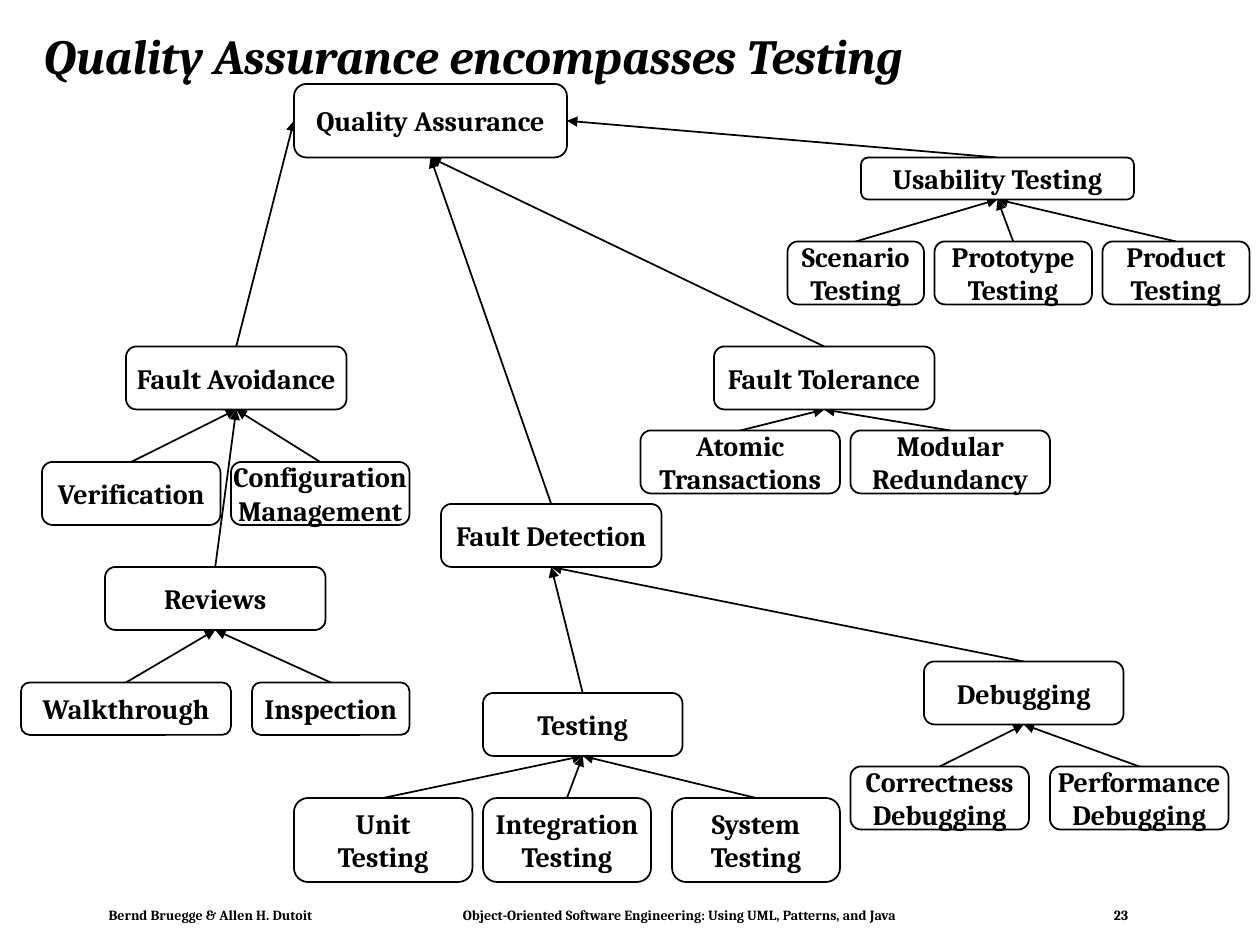
from dataclasses import dataclass

from lxml import etree
from pptx import Presentation
from pptx.dml.color import RGBColor
from pptx.enum.shapes import MSO_CONNECTOR, MSO_SHAPE
from pptx.enum.text import MSO_ANCHOR, PP_ALIGN
from pptx.oxml.ns import qn
from pptx.util import Pt

ROUNDED = MSO_SHAPE.ROUNDED_RECTANGLE
STRAIGHT = MSO_CONNECTOR.STRAIGHT
LEFT, CENTER = PP_ALIGN.LEFT, PP_ALIGN.CENTER
TOP_ANCHOR, MIDDLE = MSO_ANCHOR.TOP, MSO_ANCHOR.MIDDLE
# Connection sites of a rounded rectangle
TOP_SITE, LEFT_SITE, BOTTOM_SITE, RIGHT_SITE = range(4)


@dataclass(frozen=True)
class Theme:
    font: str = "Cambria"
    ink: RGBColor = RGBColor(0, 0, 0)
    paper: RGBColor = RGBColor(255, 255, 255)
    title_size: float = 28
    node_size: float = 16
    footer_size: float = 8
    line_width: float = 1


THEME = Theme()


@dataclass(frozen=True)
class Node:
    """A box of the tree; dx and dy are measured from its parent's corner."""
    text: str
    dx: float
    dy: float
    width: float
    height: float = 36
    children: tuple = ()
    parent_site: int = BOTTOM_SITE


USABILITY = Node("Usability Testing", 324, 42, 156, 24, (
    Node("Scenario\nTesting", -42, 48, 78),
    Node("Prototype\nTesting", 42, 48, 90),
    Node("Product\nTesting", 138, 48, 84),
), RIGHT_SITE)

REVIEWS = Node("Reviews", -12, 126, 126, children=(
    Node("Walkthrough", -48, 66, 120, 30),
    Node("Inspection", 84, 66, 90, 30),
))

AVOIDANCE = Node("Fault Avoidance", -96, 150, 126, children=(
    Node("Verification", -48, 66, 102),
    Node("Configuration\nManagement", 60, 66, 102),
    REVIEWS,
), parent_site=LEFT_SITE)

TOLERANCE = Node("Fault Tolerance", 240, 150, 126, children=(
    Node("Atomic\nTransactions", -42, 48, 114),
    Node("Modular\nRedundancy", 78, 48, 114),
))

TESTING = Node("Testing", 24, 108, 114, children=(
    Node("Unit\nTesting", -108, 60, 102, 48),
    Node("Integration\nTesting", 0, 60, 96, 48),
    Node("System\nTesting", 108, 60, 96, 48),
))

DEBUGGING = Node("Debugging", 276, 90, 114, children=(
    Node("Correctness\nDebugging", -42, 60, 102),
    Node("Performance\nDebugging", 72, 60, 102),
))

DETECTION = Node("Fault Detection", 84, 240, 126, children=(TESTING, DEBUGGING))

QUALITY = Node("Quality Assurance", 0, 0, 156, 42,
               (USABILITY, AVOIDANCE, TOLERANCE, DETECTION))


def write_text(shape, text, size, align=LEFT, anchor=MIDDLE, italic=False,
               wrap=True, line_spacing=None, margins=(7.2, 3.6)):
    frame = shape.text_frame
    frame.word_wrap = wrap
    frame.vertical_anchor = anchor
    frame.margin_left = frame.margin_right = Pt(margins[0])
    frame.margin_top = frame.margin_bottom = Pt(margins[1])
    for index, line in enumerate(text.split("\n")):
        paragraph = frame.add_paragraph() if index else frame.paragraphs[0]
        paragraph.alignment = align
        paragraph.line_spacing = line_spacing
        run = paragraph.add_run()
        run.text = line
        run.font.name = THEME.font
        run.font.size = Pt(size)
        run.font.bold = True
        run.font.italic = italic
        run.font.color.rgb = THEME.ink


def set_tab_stops(paragraph, positions):
    tab_list = etree.SubElement(paragraph._p.get_or_add_pPr(), qn("a:tabLst"))
    for position in positions:
        etree.SubElement(tab_list, qn("a:tab"), pos=str(Pt(position)), algn="l")


def add_title(slide, left, top, width, height):
    box = slide.shapes.add_textbox(Pt(left), Pt(top), Pt(width), Pt(height))
    write_text(box, "Quality Assurance encompasses Testing", THEME.title_size,
               italic=True, line_spacing=0.9)


def add_footer(slide, left, top, width, height):
    box = slide.shapes.add_textbox(Pt(left), Pt(top), Pt(width), Pt(height))
    parts = ("Bernd Bruegge & Allen H. Dutoit",
             "Object-Oriented Software Engineering: Using UML, Patterns, and Java",
             "23")
    write_text(box, "\t".join(parts), THEME.footer_size, anchor=TOP_ANCHOR,
               margins=(6, 3))
    set_tab_stops(box.text_frame.paragraphs[0], (202.5, 574.5))


def add_arrow(slide, child, parent, parent_site):
    """Join the child's top to the parent, behind all boxes."""
    connector = slide.shapes.add_connector(STRAIGHT, 0, 0, 0, 0)
    connector.begin_connect(child, TOP_SITE)
    connector.end_connect(parent, parent_site)
    connector.line.color.rgb = THEME.ink
    connector.line.width = Pt(THEME.line_width)
    etree.SubElement(connector.line._get_or_add_ln(), qn("a:tailEnd"), type="triangle")
    etree.SubElement(connector._element.spPr, qn("a:effectLst"))
    slide.shapes._spTree.insert(2, connector._element)


def add_branch(slide, node, left, top):
    """Place a node and everything below it; return the node's box."""
    box = slide.shapes.add_shape(ROUNDED, Pt(left), Pt(top),
                                 Pt(node.width), Pt(node.height))
    box.shadow.inherit = False
    box.fill.solid()
    box.fill.fore_color.rgb = THEME.paper
    box.line.color.rgb = THEME.ink
    box.line.width = Pt(THEME.line_width)
    write_text(box, node.text, THEME.node_size, align=CENTER, wrap=False)
    for child in node.children:
        child_box = add_branch(slide, child, left + child.dx, top + child.dy)
        add_arrow(slide, child_box, box, child.parent_site)
    return box


def main():
    presentation = Presentation()
    presentation.slide_width, presentation.slide_height = Pt(720), Pt(540)
    slide = presentation.slides.add_slide(presentation.slide_layouts[6])
    add_footer(slide, 56, 515, 600, 15)
    add_title(slide, 18, 6, 642, 55)
    add_branch(slide, QUALITY, 168, 48)
    presentation.save("out.pptx")


if __name__ == "__main__":
    main()
